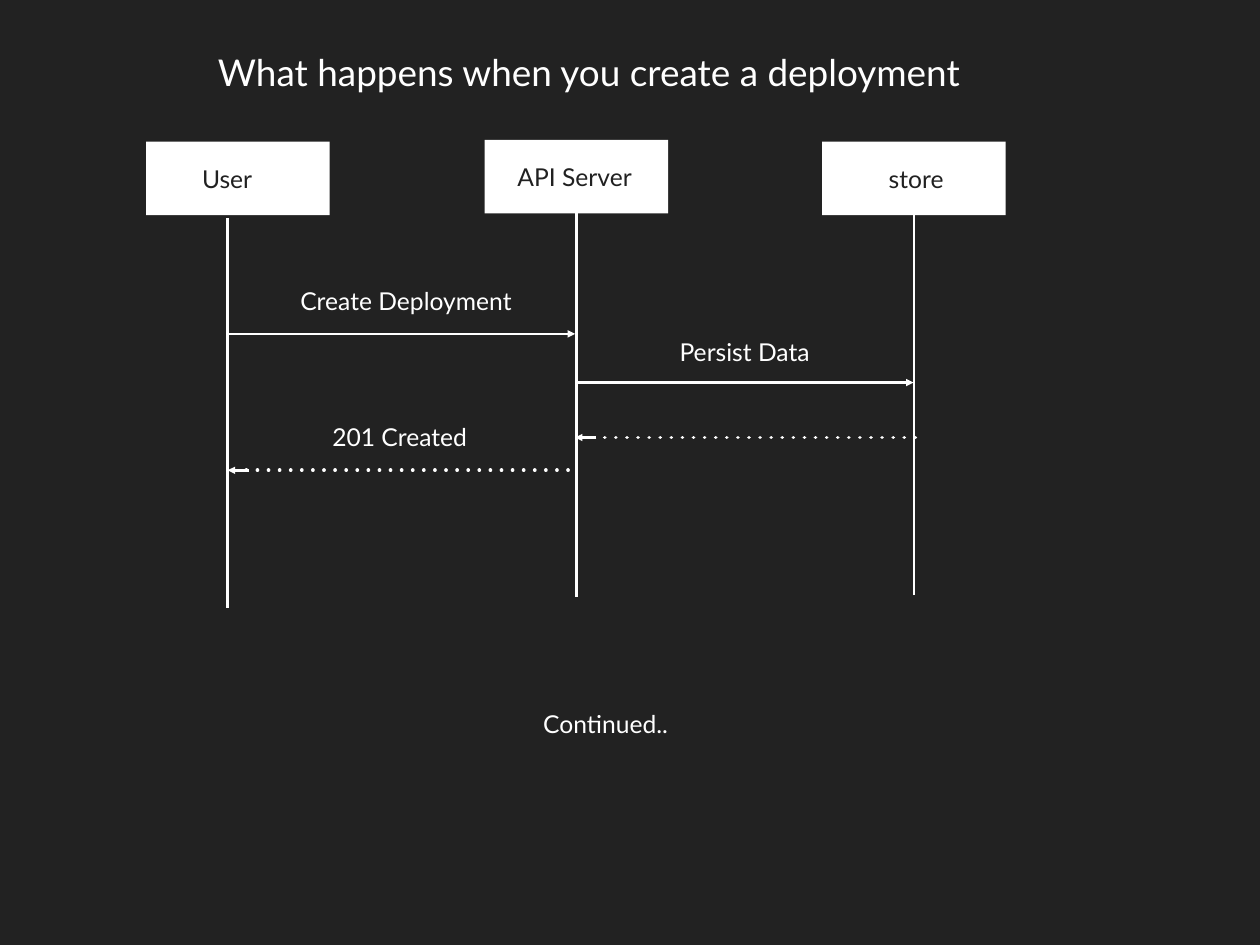
"""Draw the sequence diagram of what happens when a deployment is created."""
from dataclasses import dataclass

from lxml import etree
from pptx import Presentation
from pptx import util as u
from pptx.dml.color import RGBColor
from pptx.enum import shapes, text
from pptx.oxml.ns import qn
from pptx.shapes.autoshape import Shape
from pptx.shapes.connector import Connector
from pptx.slide import Slide


@dataclass(frozen=True)
class Theme:
    font: str = "Lato"
    background: str = "222222"
    light: str = "FFFFFF"
    dark: str = "212121"
    title_size: int = 30
    label_size: int = 20
    line_width: int = 2
    dot_width: int = 3
    inset: float = 0.06


@dataclass(frozen=True)
class Label:
    words: str
    left: float
    top: float
    width: float
    colour: str
    height: float = 0.49


@dataclass(frozen=True)
class Participant:
    left: float
    top: float
    label: Label
    line_bottom: float
    line_x: float | None = None
    line_top: float | None = None


@dataclass(frozen=True)
class Message:
    start: float
    end: float
    y: float


THEME = Theme()
BOX_WIDTH, BOX_HEIGHT = 2.07, 0.83
STUB = 0.24
DOTS_INSET = 0.21

PARTICIPANTS = [
    Participant(1.65, 1.6, Label("User", 2.22, 1.77, 0.71, THEME.dark), 6.86, 2.57, 2.46),
    Participant(5.47, 1.58, Label("API Server", 5.78, 1.75, 1.45, THEME.dark), 6.74),
    Participant(9.28, 1.6, Label("store", 9.97, 1.77, 0.69, THEME.dark), 6.72),
]
REQUESTS = [Message(2.58, 6.49, 3.77), Message(6.51, 10.31, 4.32)]
REPLIES = [Message(6.42, 2.57, 5.31), Message(10.34, 6.49, 4.94)]
LABELS = [
    Label("Create Deployment", 3.33, 3.15, 2.63, THEME.light),
    Label("Persist Data", 7.61, 3.72, 1.61, THEME.light),
    Label("201 Created", 3.69, 4.69, 1.71, THEME.light),
    Label("Continued..", 6.07, 7.92, 1.62, THEME.light),
]


def write_label(box: Shape, label: Label, size: int) -> None:
    """Place a text shape and fill it with one formatted run."""
    box.left, box.top = u.Inches(label.left), u.Inches(label.top)
    box.width, box.height = u.Inches(label.width), u.Inches(label.height)
    frame = box.text_frame
    frame.word_wrap = False
    frame.auto_size = text.MSO_AUTO_SIZE.NONE
    frame.vertical_anchor = text.MSO_ANCHOR.MIDDLE
    frame.margin_left = frame.margin_right = u.Inches(THEME.inset)
    frame.margin_top = frame.margin_bottom = u.Inches(THEME.inset)
    para = frame.paragraphs[0]
    para.alignment = text.PP_ALIGN.LEFT
    span = para.add_run()
    span.text = label.words
    span.font.name = THEME.font
    span.font.size = u.Pt(size)
    span.font.color.rgb = RGBColor.from_string(label.colour)


def add_label(page: Slide, label: Label) -> None:
    """Add a text box for a label."""
    box = page.shapes.add_textbox(0, 0, 0, 0)
    write_label(box, label, THEME.label_size)


def add_line(page: Slide, x1: float, y1: float, x2: float, y2: float,
             arrow: bool = False, dotted: bool = False) -> Connector:
    """Add a straight line, with an arrowhead or round dots if asked."""
    line = page.shapes.add_connector(
        shapes.MSO_CONNECTOR.STRAIGHT,
        u.Inches(x1), u.Inches(y1), u.Inches(x2), u.Inches(y2))
    line.line.color.rgb = RGBColor.from_string(THEME.light)
    line.line.width = u.Pt(THEME.dot_width if dotted else THEME.line_width)
    properties = line.line._get_or_add_ln()
    if dotted:
        properties.set("cap", "rnd")
        dashes = etree.SubElement(properties, qn("a:custDash"))
        etree.SubElement(dashes, qn("a:ds"), d="100000", sp="200000")
    if arrow:
        etree.SubElement(properties, qn("a:tailEnd"), type="triangle")
    etree.SubElement(line._element.spPr, qn("a:effectLst"))
    return line


def add_box(page: Slide, participant: Participant) -> Shape:
    """Add the plain box that heads a lifeline."""
    box = page.shapes.add_shape(
        shapes.MSO_SHAPE.RECTANGLE, u.Inches(participant.left), u.Inches(participant.top),
        u.Inches(BOX_WIDTH), u.Inches(BOX_HEIGHT))
    box.shadow.inherit = False
    box.fill.solid()
    box.fill.fore_color.rgb = RGBColor.from_string(THEME.light)
    box.line.fill.background()
    return box


def add_participant(page: Slide, participant: Participant) -> None:
    """Add a participant's box, name and lifeline."""
    box = add_box(page, participant)
    add_label(page, participant.label)
    x = participant.line_x or participant.left + BOX_WIDTH / 2
    top = participant.line_top or participant.top + BOX_HEIGHT
    lifeline = add_line(page, x, participant.line_bottom, x, top)
    if participant.line_x is None:
        lifeline.end_connect(box, 2)


def main() -> None:
    """Build the slide and save it."""
    deck = Presentation()
    deck.slide_width, deck.slide_height = u.Inches(14.22), u.Inches(10.67)
    page = deck.slides.add_slide(deck.slide_layouts[5])
    page.background.fill.solid()
    page.background.fill.fore_color.rgb = RGBColor.from_string(THEME.background)
    title = Label("What happens when you create a deployment",
                  2.4, 0.47, 8.92, THEME.light, 0.68)
    write_label(page.shapes.title, title, THEME.title_size)
    for participant in PARTICIPANTS:
        add_participant(page, participant)
    for request in REQUESTS:
        add_line(page, request.start, request.y, request.end, request.y, arrow=True)
    for reply in REPLIES:
        add_line(page, reply.end + DOTS_INSET, reply.y, reply.start, reply.y, dotted=True)
        add_line(page, reply.end + STUB, reply.y, reply.end, reply.y, arrow=True)
    for label in LABELS:
        add_label(page, label)
    deck.save("out.pptx")


if __name__ == "__main__":
    main()
